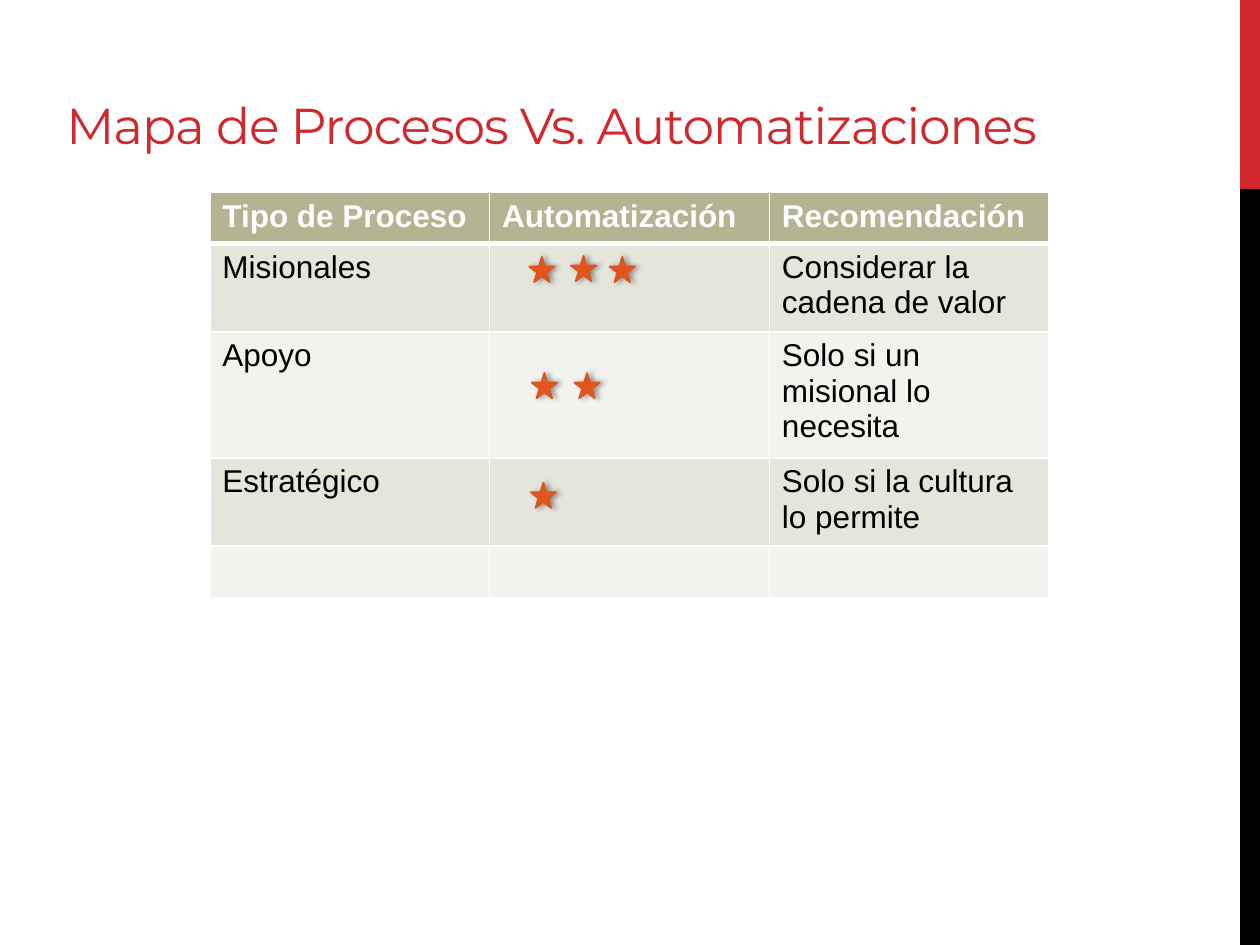
from lxml.etree import SubElement
from pptx import Presentation
from pptx.dml.color import RGBColor
from pptx.enum.shapes import MSO_SHAPE as Shape
from pptx.enum.text import MSO_ANCHOR as Anchor
from pptx.oxml import parse_xml
from pptx.oxml.ns import nsdecls, qn
from pptx.util import Cm, Pt


def color(value):
    return RGBColor.from_string(value)


def style_font(paragraph, name, size, value, bold=False):
    for run in paragraph.runs:
        run.font.name = name
        run.font.size = Pt(size)
        run.font.bold = bold
        run.font.color.rgb = color(value)


presentation = Presentation()
presentation.slide_width = Cm(25.4)
presentation.slide_height = Cm(19.05)
slide = presentation.slides.add_slide(presentation.slide_layouts[6])

for top, height, fill in [(0, 3.81, "D1282E"), (3.81, 15.24, "000000")]:
    band = slide.shapes.add_shape(Shape.RECTANGLE, Cm(25), Cm(top), Cm(0.4), Cm(height))
    band.shadow.inherit = False
    band.fill.solid()
    band.fill.fore_color.rgb = color(fill)
    band.line.fill.background()

title = slide.shapes.add_textbox(Cm(1.09), Cm(0.53), Cm(21.84), Cm(2.72))
title.text_frame.word_wrap = True
title.text_frame.vertical_anchor = Anchor.BOTTOM
title.text_frame.text = "Mapa de Procesos Vs. Automatizaciones"
title_paragraph = title.text_frame.paragraphs[0]
style_font(title_paragraph, "Montserrat", 28.8, "D1282E")
title_paragraph.runs[0].font._element.set("spc", "-60")

rows = [
    ("Tipo de Proceso", "Automatización", "Recomendación"),
    ("Misionales", "", "Considerar la cadena de valor"),
    ("Apoyo", "", "Solo si un misional lo necesita"),
    ("Estratégico", "", "Solo si la cultura lo permite"),
    ("", "", ""),
]
row_heights = [1.03, 1.78, 2.54, 1.78, 1.03]
row_fills = ["B4B392", "E5E5DC", "F2F2EE", "E5E5DC", "F2F2EE"]

table = slide.shapes.add_table(
    len(rows), 3, Cm(4.23), Cm(3.88), Cm(16.93), Cm(sum(row_heights))
).table
table.horz_banding = False
for column in table.columns:
    column.width = Cm(5.64)

for row_index, texts in enumerate(rows):
    table.rows[row_index].height = Cm(row_heights[row_index])
    header = row_index == 0
    for column_index, text in enumerate(texts):
        cell = table.cell(row_index, column_index)
        cell.fill.solid()
        cell.fill.fore_color.rgb = color(row_fills[row_index])
        if text:
            cell.text_frame.text = text
            style_font(cell.text_frame.paragraphs[0], "Arial", 18,
                       "FFFFFF" if header else "000000", header)
        properties = cell._tc.get_or_add_tcPr()
        for position, side in enumerate(["lnL", "lnR", "lnT", "lnB"]):
            thick = (header and side == "lnB") or (row_index == 1 and side == "lnT")
            properties.insert(position, parse_xml(
                f'<a:{side} {nsdecls("a")} w="{Pt(3 if thick else 1)}">'
                f'<a:solidFill><a:srgbClr val="FFFFFF"/></a:solidFill></a:{side}>'
            ))

star_rows = [
    [(10.67, 5.18), (11.51, 5.16), (12.29, 5.18)],
    [(10.72, 7.52), (11.58, 7.52)],
    [(10.7, 9.73)],
]
for positions in star_rows:
    shapes = slide.shapes.add_group_shape().shapes if len(positions) > 1 else slide.shapes
    for left, top in positions:
        star = shapes.add_shape(Shape.STAR_5_POINT, Cm(left), Cm(top), Cm(0.51), Cm(0.51))
        star.fill.solid()
        star.fill.fore_color.rgb = color("E5551B")
        star.line.color.rgb = color("DC551F")
        star.line.width = Pt(1)
        star.shadow.inherit = False
        effects = star._element.spPr.find(qn("a:effectLst"))
        shadow = SubElement(effects, qn("a:outerShdw"), blurRad=str(Pt(3.1)),
                            dist=str(Pt(1.8)), dir="0", rotWithShape="0")
        shadow_color = SubElement(shadow, qn("a:srgbClr"), val="000000")
        SubElement(shadow_color, qn("a:alpha"), val="40000")

presentation.save("out.pptx")
